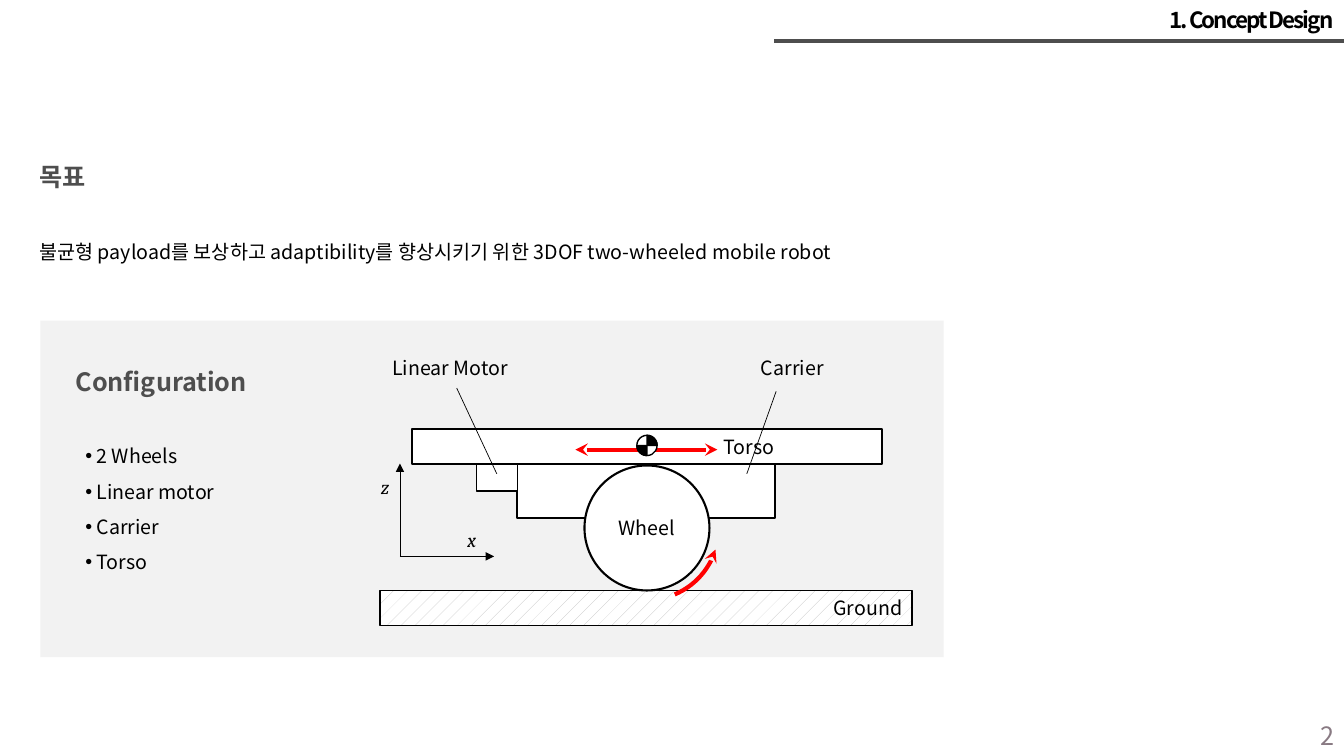
from dataclasses import dataclass
from typing import Optional

from lxml.etree import SubElement
from pptx import Presentation
from pptx.dml.color import RGBColor as Rgb
from pptx.enum.dml import MSO_PATTERN as Pattern
from pptx.enum.shapes import MSO_CONNECTOR as Link, MSO_SHAPE as Kind
from pptx.enum.text import MSO_ANCHOR as Anchor, MSO_AUTO_SIZE as Fit, PP_ALIGN as Align
from pptx.oxml.ns import qn
from pptx.util import Cm, Pt

INK = {"black": "000000", "white": "FFFFFF", "red": "FF0000", "dark": "4E4E4E",
       "panel": "F2F2F2", "hatch": "BFBFBF", "page": "897A83"}
SANS, MATH = "Noto Sans CJK KR", "Cambria"


@dataclass
class Line:
    text: str
    size: float = 14
    ink: str = "black"
    bold: bool = False
    slant: bool = False
    face: str = SANS
    align: Align = Align.LEFT
    lead: float = 1
    after: float = 0
    bullet: bool = False
    track: int = 0


@dataclass
class Part:
    kind: Kind
    box: tuple
    fill: Optional[str] = "white"
    edge: Optional[str] = "black"
    width: float = 1
    turn: float = 0
    bends: tuple = ()
    label: Optional[Line] = None
    inset: float = 0.25


@dataclass
class Stroke:
    start: tuple
    end: tuple
    ink: str = "black"
    width: float = 0.5
    head: str = ""
    tail: str = ""


@dataclass
class Note:
    box: tuple
    line: Line
    wrap: bool = True


def color(name: str) -> Rgb:
    return Rgb.from_string(INK[name])


def write(frame, lines: list, anchor: Anchor = Anchor.TOP, wrap: bool = True) -> None:
    frame.auto_size, frame.word_wrap, frame.vertical_anchor = Fit.NONE, wrap, anchor
    for i, line in enumerate(lines):
        para = frame.paragraphs[0] if i == 0 else frame.add_paragraph()
        para.text = line.text
        props = para._p.get_or_add_pPr()
        props.set("marL", str(Cm(0.53) if line.bullet else 0))
        props.set("indent", str(Cm(-0.28) if line.bullet else 0))
        if line.bullet:
            SubElement(props, qn("a:buChar"), char="•")
        else:
            SubElement(props, qn("a:buNone"))
        para.alignment, para.line_spacing = line.align, line.lead
        para.space_before, para.space_after = Pt(0), Pt(line.after)
        font = para.font
        font.size, font.bold, font.italic = Pt(line.size), line.bold, line.slant
        font.color.rgb, font.name = color(line.ink), line.face
        base = props.find(qn("a:defRPr"))
        SubElement(base, qn("a:ea"), typeface=line.face)
        if line.track:
            base.set("spc", str(line.track))


def place(shape, box: tuple) -> None:
    shape.left, shape.top, shape.width, shape.height = map(Cm, box)


def tips(pen, head: str, tail: str) -> None:
    node = pen._get_or_add_ln()
    for tag, style in (("a:headEnd", head), ("a:tailEnd", tail)):
        if style:
            SubElement(node, qn(tag), type=style)


def draw_part(slide, part: Part):
    shape = slide.shapes.add_shape(part.kind, *map(Cm, part.box))
    shape.shadow.inherit = False
    shape.rotation = part.turn
    for i, bend in enumerate(part.bends):
        shape.adjustments[i] = bend
    if part.fill == "hatch":
        shape.fill.patterned()
        shape.fill.pattern = Pattern.PERCENT_5
        shape.fill.fore_color.rgb = color("hatch")
        shape.fill.back_color.rgb = color("white")
    elif part.fill:
        shape.fill.solid()
        shape.fill.fore_color.rgb = color(part.fill)
    else:
        shape.fill.background()
    if part.edge:
        shape.line.color.rgb, shape.line.width = color(part.edge), Pt(part.width)
    else:
        shape.line.fill.background()
    if part.label:
        shape.text_frame.margin_left = Cm(part.inset)
        write(shape.text_frame, [part.label], Anchor.MIDDLE)
    return shape


def draw_stroke(slide, stroke: Stroke) -> None:
    link = slide.shapes.add_connector(
        Link.STRAIGHT, *map(Cm, stroke.start + stroke.end))
    link.line.color.rgb, link.line.width = color(stroke.ink), Pt(stroke.width)
    tips(link.line, stroke.head, stroke.tail)
    SubElement(link._element.spPr, qn("a:effectLst"))


def draw_note(slide, note: Note) -> None:
    box = slide.shapes.add_textbox(*map(Cm, note.box))
    write(box.text_frame, [note.line], wrap=note.wrap)


def main() -> None:
    deck = Presentation()
    deck.slide_width, deck.slide_height = Cm(33.87), Cm(19.05)
    slide = deck.slides.add_slide(deck.slide_layouts[1])

    # Grey panel behind everything
    panel = draw_part(slide, Part(Kind.RECTANGLE, (1.02, 8.08, 22.76, 8.48), "panel", None))
    panel._element.getparent().insert(2, panel._element)

    # Title and rule
    title, body = slide.placeholders
    place(title, (22.91, 0.03, 10.95, 0.94))
    write(title.text_frame, [Line("1. Concept Design", 16, bold=True,
                                  align=Align.RIGHT, track=-140)], Anchor.MIDDLE)
    draw_stroke(slide, Stroke((33.87, 1.04), (19.51, 1.04), "dark", 3))

    # Goal
    goal = slide.shapes.add_textbox(*map(Cm, (0.74, 3.56, 32.11, 3.07)))
    write(goal.text_frame, [
        Line("목표", 18, "dark", True, lead=1.5, after=26),
        Line("불균형 payload를 보상하고 adaptibility를 향상시키기 위한 "
             "3DOF two-wheeled mobile robot", lead=1.5)])

    # Configuration list
    place(body, (1.65, 8.71, 7.85, 5.89))
    items = ("2 Wheels", "Linear motor", "Carrier", "Torso")
    write(body.text_frame,
          [Line("Configuration", 18, "dark", True, lead=1.5, after=26)]
          + [Line(item, lead=1.5, bullet=True) for item in items])

    # Ground, carrier and wheel
    draw_part(slide, Part(Kind.RECTANGLE, (9.58, 14.88, 13.41, 0.89), "hatch",
                          label=Line("Ground", align=Align.RIGHT)))
    draw_part(slide, Part(Kind.RECTANGLE, (13.03, 11.68, 6.5, 1.37), width=1.5))
    draw_part(slide, Part(Kind.OVAL, (14.73, 11.73, 3.15, 3.15), width=1.5,
                          label=Line("Wheel", align=Align.CENTER)))
    spin = draw_part(slide, Part(Kind.ARC, (14.5, 11.51, 3.61, 3.61), None, "red", 3,
                                 60, (190.353, 4.366)))
    tips(spin.line, "stealth", "")

    # Torso, its travel and the motor
    draw_part(slide, Part(Kind.RECTANGLE, (10.39, 10.8, 11.84, 0.89), width=1.5,
                          label=Line("Torso", align=Align.CENTER), inset=5.38))
    draw_stroke(slide, Stroke((14.5, 11.33), (18.08, 11.33), "red", 3,
                              "stealth", "stealth"))
    draw_part(slide, Part(Kind.RECTANGLE, (12.01, 11.71, 1.04, 0.66)))

    # Centre of mass
    mass = (16.05, 10.97, 0.51, 0.51)
    draw_part(slide, Part(Kind.OVAL, mass))
    for turn in (90, 270):
        draw_part(slide, Part(Kind.PIE, mass, "black", turn=turn, bends=(108.04, 162)))

    # Axes and leader lines
    root = (10.08, 14.02)
    for end in ((10.08, 11.68), (12.45, 14.02)):
        draw_stroke(slide, Stroke(root, end, tail="triangle"))
    draw_stroke(slide, Stroke((12.52, 11.94), (11.51, 9.78)))
    draw_stroke(slide, Stroke((18.82, 11.94), (19.56, 9.86)))

    # Labels and page number
    for note in (
        Note((11.53, 13.18, 0.76, 0.86), Line("x", slant=True, face=MATH), False),
        Note((9.35, 11.84, 0.74, 0.86), Line("z", slant=True, face=MATH), False),
        Note((9.63, 8.84, 3.89, 0.86), Line("Linear Motor")),
        Note((17.12, 8.84, 3.89, 0.86), Line("Carrier", align=Align.RIGHT)),
        Note((31.8, 18.03, 2.08, 1.02), Line("2", 18, "page", align=Align.RIGHT)),
    ):
        draw_note(slide, note)

    deck.save("out.pptx")


if __name__ == "__main__":
    main()
